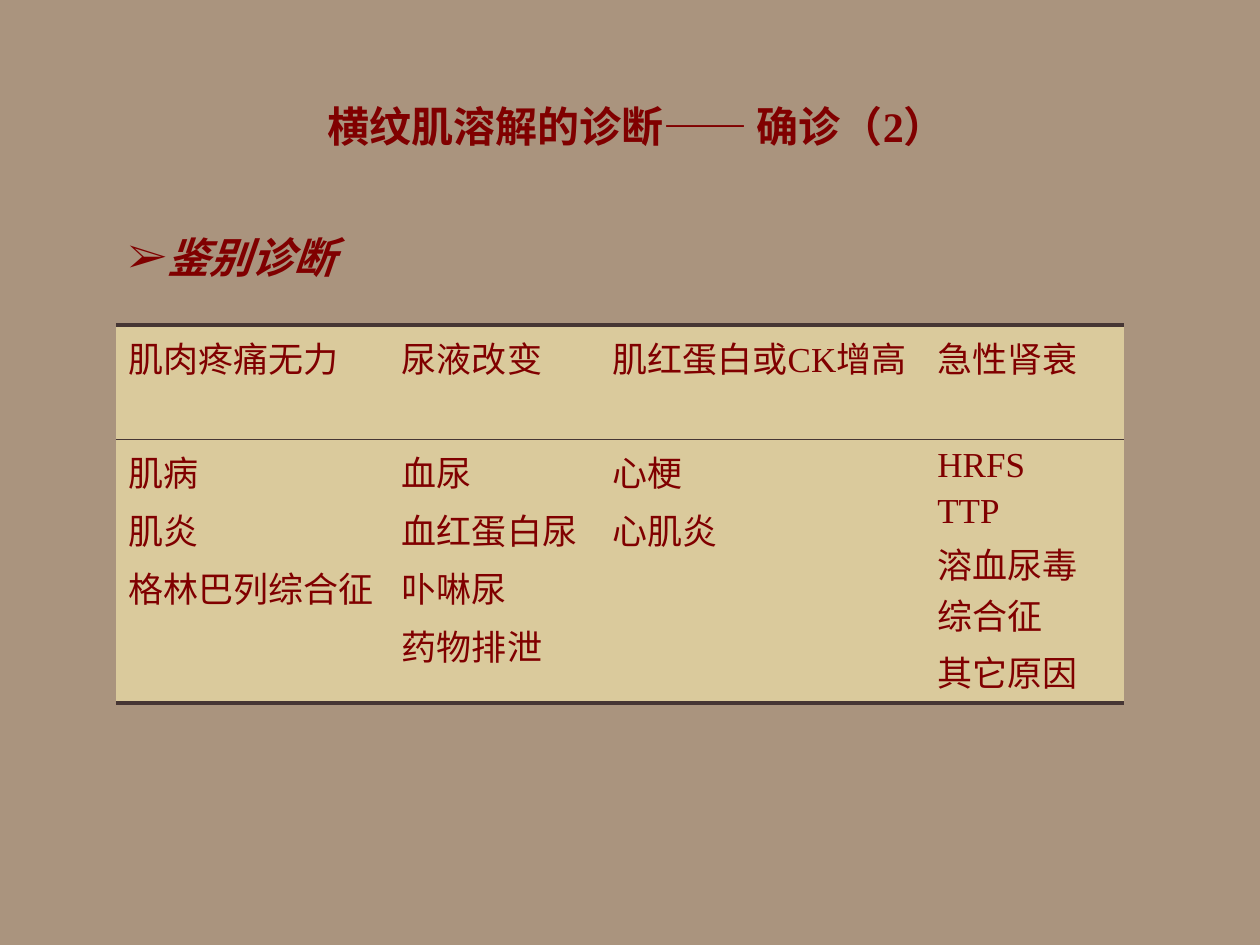
from lxml import etree
from pptx import Presentation
from pptx import util as u
from pptx.dml import color
from pptx.enum import text
from pptx.oxml import ns

DARK_RED, SAND, BROWN = "800000", "DACA9C", "463634"


def rgb(value):
    return color.RGBColor.from_string(value)


def add_run(paragraph, content, size, font="Times New Roman", bold=False, italic=False):
    run = paragraph.add_run()
    run.text = content
    run.font.name = font
    run.font.size = u.Pt(size)
    run.font.bold = bold
    run.font.italic = italic
    run.font.color.rgb = rgb(DARK_RED)


presentation = Presentation()
presentation.slide_width = u.Inches(10)
presentation.slide_height = u.Inches(7.5)
slide = presentation.slides.add_slide(presentation.slide_layouts[6])
slide.background.fill.solid()
slide.background.fill.fore_color.rgb = rgb("AA947E")

# Bulleted subheading
subheading = slide.shapes.add_textbox(
    u.Inches(0.92), u.Inches(1.83), u.Inches(1.92), u.Inches(0.42))
subheading.text_frame.word_wrap = True
subheading.text_frame.vertical_anchor = text.MSO_ANCHOR.MIDDLE
paragraph = subheading.text_frame.paragraphs[0]
properties = paragraph._p.get_or_add_pPr()
properties.set("marL", "0")
properties.set("indent", "0")
etree.SubElement(properties, ns.qn("a:buFont"), typeface="Times New Roman")
etree.SubElement(properties, ns.qn("a:buChar"), char="➢")
add_run(paragraph, "鉴别诊断", 24, bold=True, italic=True)

# Differential diagnosis table: one column per finding
columns = [
    (2.17, "Arial", "肌肉疼痛无力", ["肌病", "肌炎", "格林巴列综合征"]),
    (1.67, "Times New Roman", "尿液改变", ["血尿", "血红蛋白尿", "卟啉尿", "药物排泄"]),
    (2.58, "Times New Roman", "肌红蛋白或CK增高", ["心梗", "心肌炎"]),
    (1.58, "Times New Roman", "急性肾衰", ["HRFS", "TTP", "溶血尿毒综合征", "其它原因"]),
]
row_heights = [0.91, 2.09]
rule_widths = [2.25, 1, 2.25]  # above, between and below the rows
table = slide.shapes.add_table(
    len(row_heights), len(columns), u.Inches(0.92), u.Inches(2.58),
    u.Inches(8), u.Inches(sum(row_heights))).table
table.first_row = False
table.horz_banding = False
for row, height in zip(table.rows, row_heights):
    row.height = u.Inches(height)

for column_index, (width, font, heading, causes) in enumerate(columns):
    table.columns[column_index].width = u.Inches(width)
    for row_index, lines in enumerate([[heading], causes]):
        cell = table.cell(row_index, column_index)
        cell_properties = cell._tc.get_or_add_tcPr()
        borders = {"a:lnL": 0, "a:lnR": 0,
                   "a:lnT": rule_widths[row_index], "a:lnB": rule_widths[row_index + 1]}
        for tag, points in borders.items():
            border = etree.SubElement(cell_properties, ns.qn(tag), w=str(u.Pt(points)))
            if points:
                solid = etree.SubElement(border, ns.qn("a:solidFill"))
                etree.SubElement(solid, ns.qn("a:srgbClr"), val=BROWN)
            else:
                etree.SubElement(border, ns.qn("a:noFill"))
        cell.fill.solid()
        cell.fill.fore_color.rgb = rgb(SAND)
        for line_index, line in enumerate(lines):
            if line_index:
                paragraph = cell.text_frame.add_paragraph()
                paragraph.space_before = u.Pt(4)
            else:
                paragraph = cell.text_frame.paragraphs[0]
            add_run(paragraph, line, 20, font)

# Slide title
title = slide.shapes.add_textbox(
    u.Inches(2.5), u.Inches(0.75), u.Inches(5.5), u.Inches(0.5))
title.text_frame.word_wrap = True
add_run(title.text_frame.paragraphs[0], "横纹肌溶解的诊断—— 确诊（2）", 24, bold=True)

presentation.save("out.pptx")
